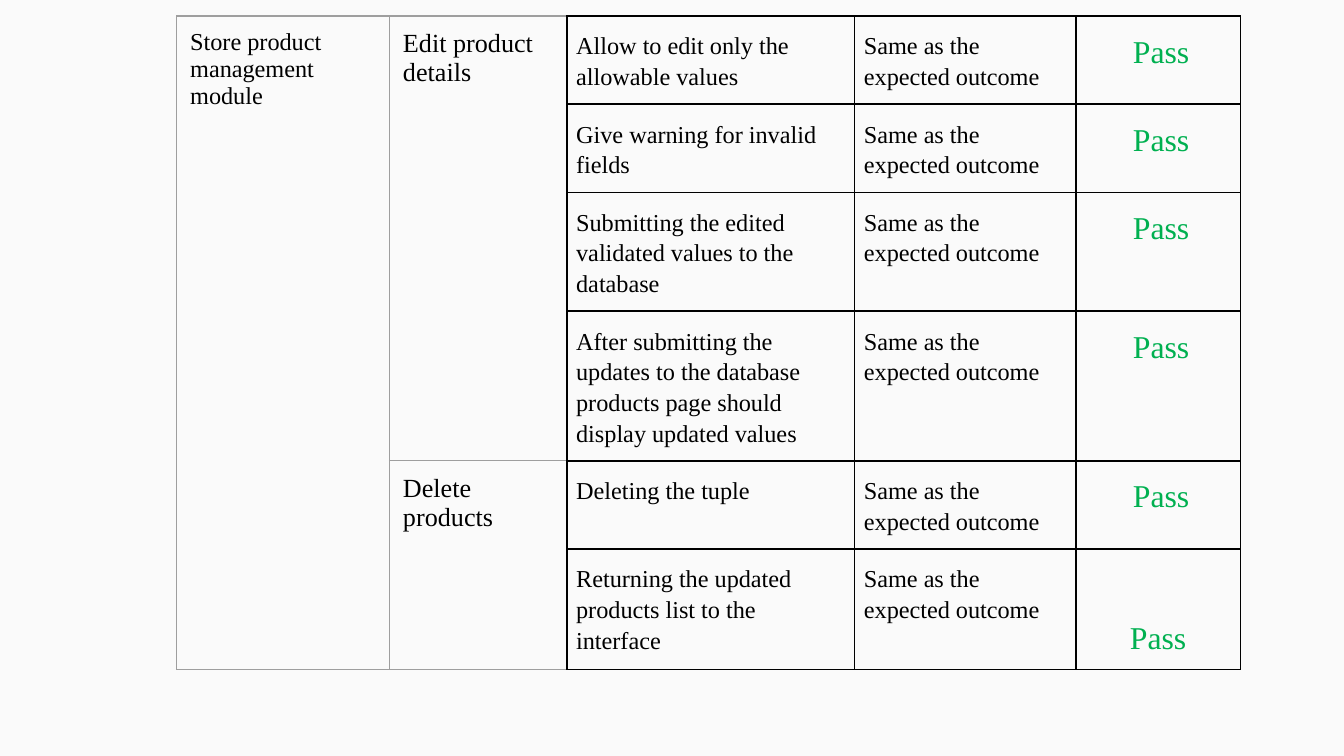
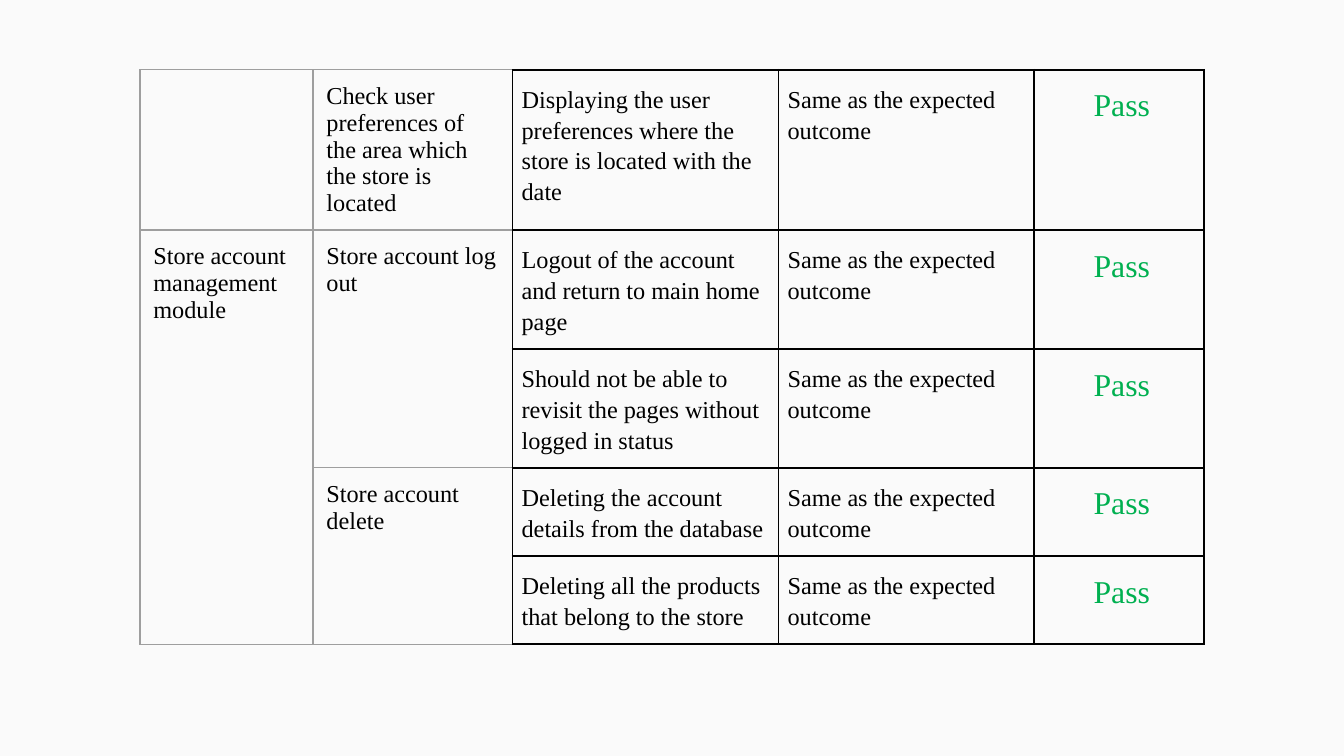
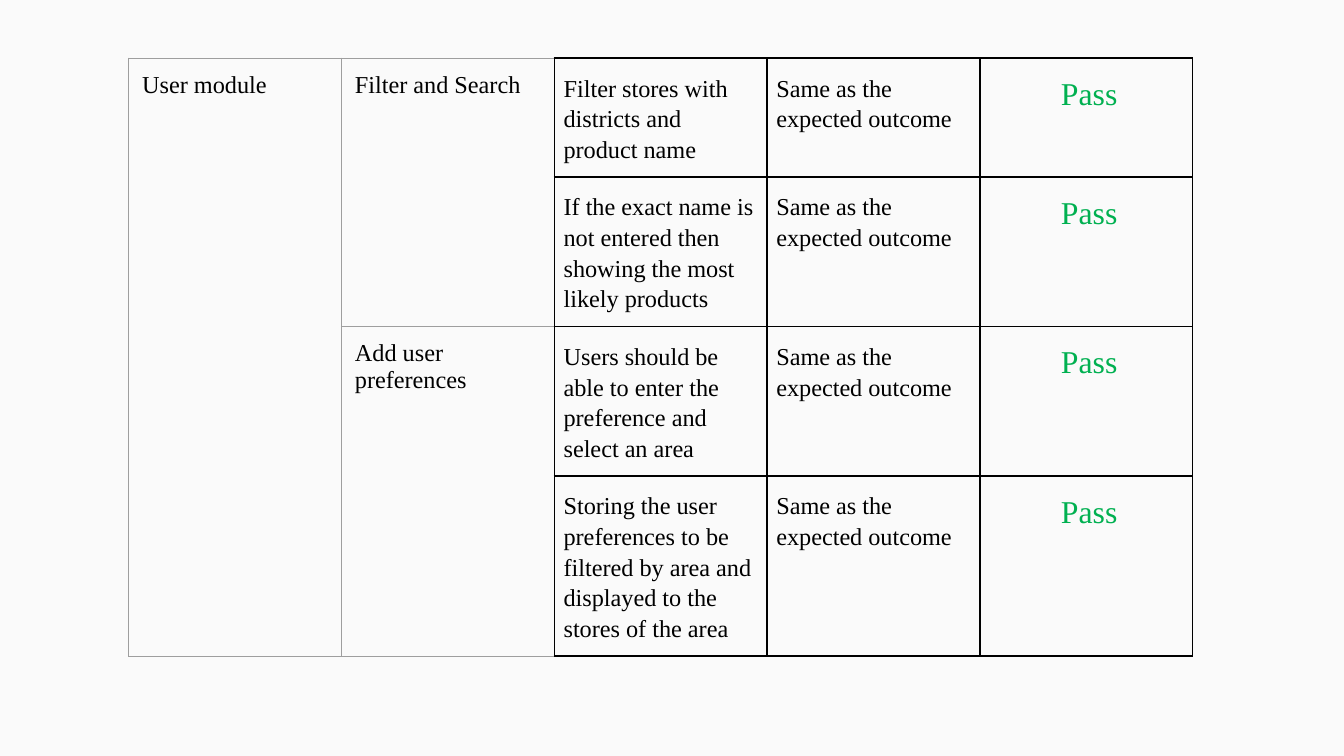
from lxml import etree
from pptx import Presentation
from pptx.dml.color import RGBColor
from pptx.enum.text import MSO_ANCHOR, PP_ALIGN
from pptx.oxml.ns import qn
from pptx.util import Pt

LEFT, CENTER = PP_ALIGN.LEFT, PP_ALIGN.CENTER
TOP, BOTTOM = MSO_ANCHOR.TOP, MSO_ANCHOR.BOTTOM
FONT = "Times New Roman"
PAPER, INK, GRAY, GREEN = "FAFAFA", "000000", "9E9E9E", "00B050"
BODY_SIZE, PASS_SIZE = 13, 17
ROW_HEIGHT = 30
INSET, NARROW_INSET, PASS_INSET = 7.2, 5, 8.2
EXPECTED = "Same as the expected outcome"

PRODUCT_TESTS = [
    ("Store product management module", [
        ("Edit product details", [
            "Allow to edit only the allowable values",
            "Give warning for invalid fields",
            "Submitting the edited validated values to the database",
            "After submitting the updates to the database products page "
            "should display updated values",
        ]),
        ("Delete products", [
            "Deleting the tuple",
            "Returning the updated products list to the interface",
        ]),
    ]),
]
ACCOUNT_TESTS = [
    ("", [
        ("Check user preferences of the area which the store is located", [
            "Displaying the user preferences where the store is located "
            "with the date",
        ]),
    ]),
    ("Store account management module", [
        ("Store account log out", [
            "Logout of the account and return to main home page",
            "Should not be able to revisit the pages without logged in status",
        ]),
        ("Store account delete", [
            "Deleting the account details from the database",
            "Deleting all the products that belong to the store",
        ]),
    ]),
]
USER_TESTS = [
    ("User module", [
        ("Filter and Search", [
            "Filter stores with districts and product name",
            "If the exact name is not entered then showing the most likely "
            "products",
        ]),
        ("Add user preferences", [
            "Users should be able to enter the preference and select an area",
            "Storing the user preferences to be filtered by area and "
            "displayed to the stores of the area",
        ]),
    ]),
]


def rgb(value):
    """Turn a hex string into a colour."""
    return RGBColor.from_string(value)


def set_borders(cell, column):
    """Rule the module and feature columns in gray and the others in black."""
    properties = cell._tc.get_or_add_tcPr()
    for side in "LRTB":
        gray = column == 0 or (column == 1 and side != "R")
        color, width = (GRAY, 0.75) if gray else (INK, 1)
        line = etree.SubElement(properties, qn("a:ln" + side), w=str(Pt(width)))
        fill = etree.SubElement(line, qn("a:solidFill"))
        etree.SubElement(fill, qn("a:srgbClr"), val=color)


def write_cell(cell, text, size=BODY_SIZE, color=INK, align=LEFT,
               left=NARROW_INSET, right=NARROW_INSET, spaced=True):
    """Write one formatted paragraph into a cell."""
    cell.margin_left, cell.margin_right = Pt(left), Pt(right)
    cell.margin_top = cell.margin_bottom = Pt(INSET)
    cell.vertical_anchor = TOP
    paragraph = cell.text_frame.paragraphs[0]
    paragraph.text = text
    paragraph.alignment = align
    paragraph.font.name = FONT
    paragraph.font.size = Pt(size)
    paragraph.font.color.rgb = rgb(color)
    if spaced:
        paragraph.line_spacing = 1.15
        paragraph.space_before = Pt(12)


def write_group(table, row, column, span, text, size=BODY_SIZE):
    """Write a heading cell that spans the rows of its group."""
    cell = table.cell(row, column)
    if span > 1:
        cell.merge(table.cell(row + span - 1, column))
    write_cell(cell, text, size, left=INSET, right=INSET, spaced=False)


def write_test(table, row, outcome):
    """Write the expected outcome, actual outcome and result of a test."""
    write_cell(table.cell(row, 2), outcome)
    write_cell(table.cell(row, 3), EXPECTED)
    write_cell(table.cell(row, 4), "Pass", PASS_SIZE, GREEN, CENTER, PASS_INSET)


def add_test_table(prs, modules, left, top, widths, feature_size=BODY_SIZE):
    """Add a slide with a table of test results and return the table."""
    slide = prs.slides.add_slide(prs.slide_layouts[6])
    count = sum(len(tests) for _, features in modules for _, tests in features)
    table = slide.shapes.add_table(
        count, len(widths), Pt(left), Pt(top),
        Pt(sum(widths)), Pt(count * ROW_HEIGHT)).table
    table.first_row = table.horz_banding = False
    for column, width in zip(table.columns, widths):
        column.width = Pt(width)
    for row in range(count):
        table.rows[row].height = Pt(ROW_HEIGHT)
        for column in range(len(widths)):
            cell = table.cell(row, column)
            set_borders(cell, column)
            cell.fill.background()
    row = 0
    for module, features in modules:
        span = sum(len(tests) for _, tests in features)
        write_group(table, row, 0, span, module)
        for feature, tests in features:
            write_group(table, row, 1, len(tests), feature, feature_size)
            for outcome in tests:
                write_test(table, row, outcome)
                row += 1
    return table


def main():
    """Build the three slides of test results."""
    prs = Presentation()
    prs.slide_width, prs.slide_height = Pt(720), Pt(405)
    paper = prs.slide_master.background.fill
    paper.solid()
    paper.fore_color.rgb = rgb(PAPER)

    products = add_test_table(prs, PRODUCT_TESTS, 94.7, 8.6,
                              [114, 95, 154.2, 118.5, 88.2], feature_size=14)
    products.rows[5].height = Pt(64.6)
    last_result = products.cell(5, 4)
    last_result.vertical_anchor = BOTTOM
    last_result.margin_left = Pt(NARROW_INSET)

    add_test_table(prs, ACCOUNT_TESTS, 75, 37.4,
                   [92.7, 106.8, 142.5, 136.9, 91])
    add_test_table(prs, USER_TESTS, 69, 31.2, [114] * 5)
    prs.save("out.pptx")


if __name__ == "__main__":
    main()
